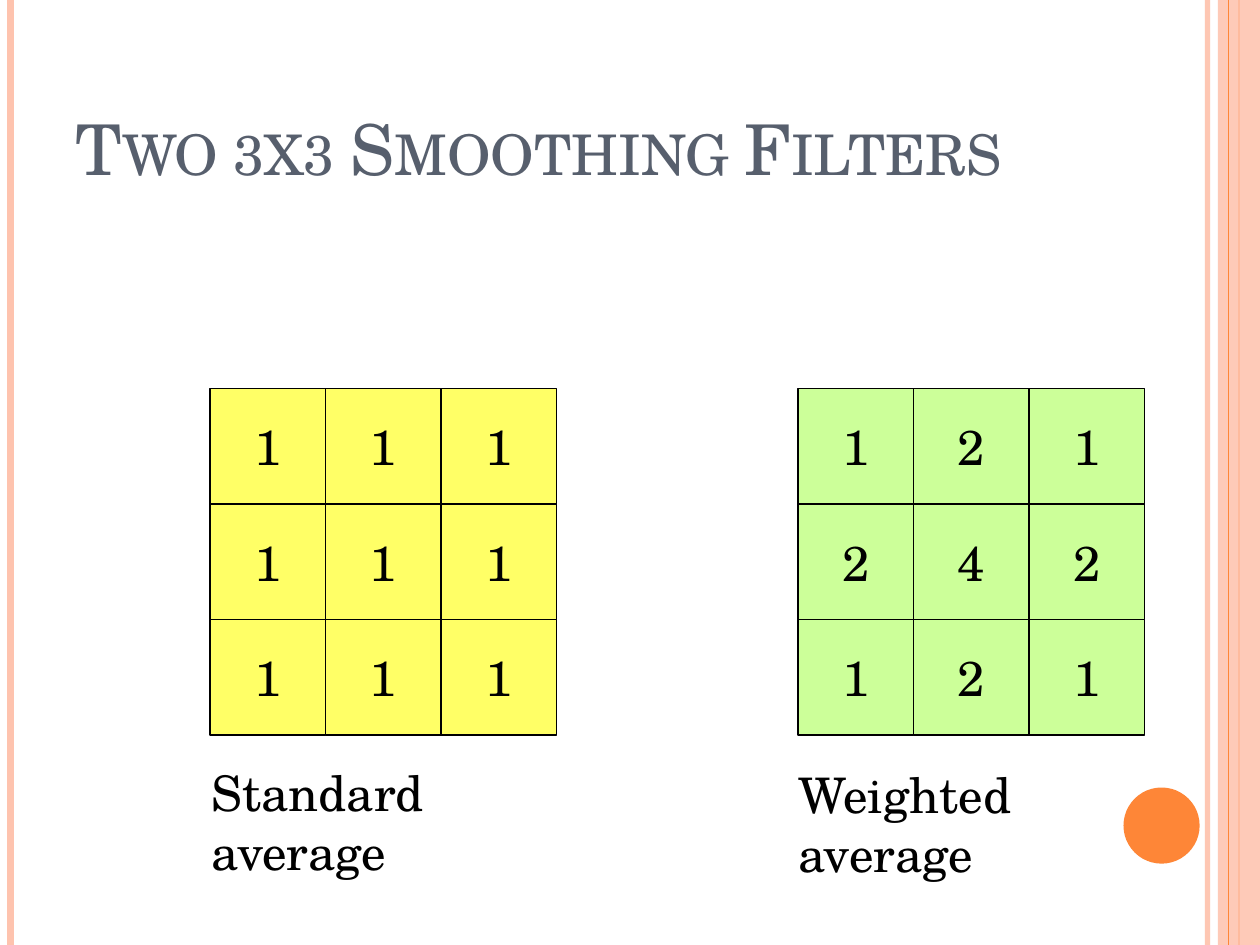
from lxml import etree
from pptx import Presentation
from pptx import util as u
from pptx.dml.color import RGBColor
from pptx.enum import shapes, text
from pptx.oxml.ns import qn

PX = 9525
FONT = "TeX Gyre Schola"
PEACH = RGBColor(0xFE, 0xC3, 0xAE)
ORANGE = RGBColor(0xFE, 0x86, 0x37)
SLATE = RGBColor(0x57, 0x5F, 0x6D)
BLACK = RGBColor(0, 0, 0)
YELLOW = RGBColor(0xFF, 0xFF, 0x66)
GREEN = RGBColor(0xCC, 0xFF, 0x99)
W, H = 960, 720
CELL, GRID_TOP = 88, 296


def set_text(shape, words, size, color, frame, align):
    tf = shape.text_frame
    for name, value in frame.items():
        setattr(tf, name, value)
    p = tf.paragraphs[0]
    p.alignment = align
    r = p.add_run()
    r.text = words
    for name, value in {"name": FONT, "size": u.Pt(size)}.items():
        setattr(r.font, name, value)
    r.font.color.rgb = color
    return r


def set_alpha(shape, percent):
    color = next(shape._element.spPr.iter(qn("a:srgbClr")))
    etree.SubElement(color, qn("a:alpha")).set("val", str(percent * 1000))


prs = Presentation()
prs.slide_width, prs.slide_height = W * PX, H * PX
s = prs.slides.add_slide(prs.slide_layouts[5])

for x, color, width, alpha in [(920, PEACH, 3, 93), (8, PEACH, 4.5, 100),
                               (944, ORANGE, 1.5, 100), (936, ORANGE, 0.75, 100)]:
    if x == 936:
        band = s.shapes.add_shape(shapes.MSO_SHAPE.RECTANGLE, 928 * PX, 0, 32 * PX, H * PX)
        band.shadow.inherit = False
        band.fill.solid()
        band.fill.fore_color.rgb = PEACH
        band.line.fill.background()
        set_alpha(band, 87)
    rule = s.shapes.add_connector(shapes.MSO_CONNECTOR.STRAIGHT, x * PX, 0, x * PX, H * PX)
    rule.line.color.rgb = color
    rule.line.width = u.Pt(width)
    if alpha < 100:
        set_alpha(rule, alpha)
    etree.SubElement(rule._element.spPr, qn("a:effectLst"))

dot = s.shapes.add_shape(shapes.MSO_SHAPE.OVAL, 856 * PX, 600 * PX, 58 * PX, 58 * PX)
dot.shadow.inherit = False
dot.fill.solid()
dot.fill.fore_color.rgb = ORANGE
dot.line.fill.background()

title = s.shapes.title
for name, value in {"left": 48, "top": 29, "width": 784, "height": 120}.items():
    setattr(title, name, value * PX)
r = set_text(title, "Two 3x3 Smoothing Filters", 40, SLATE,
             {"vertical_anchor": text.MSO_ANCHOR.BOTTOM, "word_wrap": True,
              "auto_size": text.MSO_AUTO_SIZE.NONE}, text.PP_ALIGN.LEFT)
r._r.get_or_add_rPr().set("cap", "small")

filters = [
    (160, YELLOW, ["111", "111", "111"], "Standard average", 152, 576, 277),
    (608, GREEN, ["121", "242", "121"], "Weighted average", 599, 578, 289),
]
for left, color, rows, caption, cap_left, cap_top, cap_width in filters:
    grid = s.shapes.add_group_shape()
    for i, row in enumerate(rows):
        for j, weight in enumerate(row):
            cell = grid.shapes.add_shape(
                shapes.MSO_SHAPE.RECTANGLE, (left + j * CELL) * PX,
                (GRID_TOP + i * CELL) * PX, CELL * PX, CELL * PX)
            cell.shadow.inherit = False
            cell.fill.solid()
            cell.fill.fore_color.rgb = color
            cell.line.color.rgb = BLACK
            cell.line.width = u.Pt(0.75)
            set_text(cell, weight, 28, BLACK,
                     {"vertical_anchor": text.MSO_ANCHOR.MIDDLE, "word_wrap": False},
                     text.PP_ALIGN.CENTER)
    label = s.shapes.add_textbox(cap_left * PX, cap_top * PX, cap_width * PX, 55 * PX)
    set_text(label, caption, 28, BLACK, {"word_wrap": True}, text.PP_ALIGN.LEFT)

prs.save("out.pptx")
